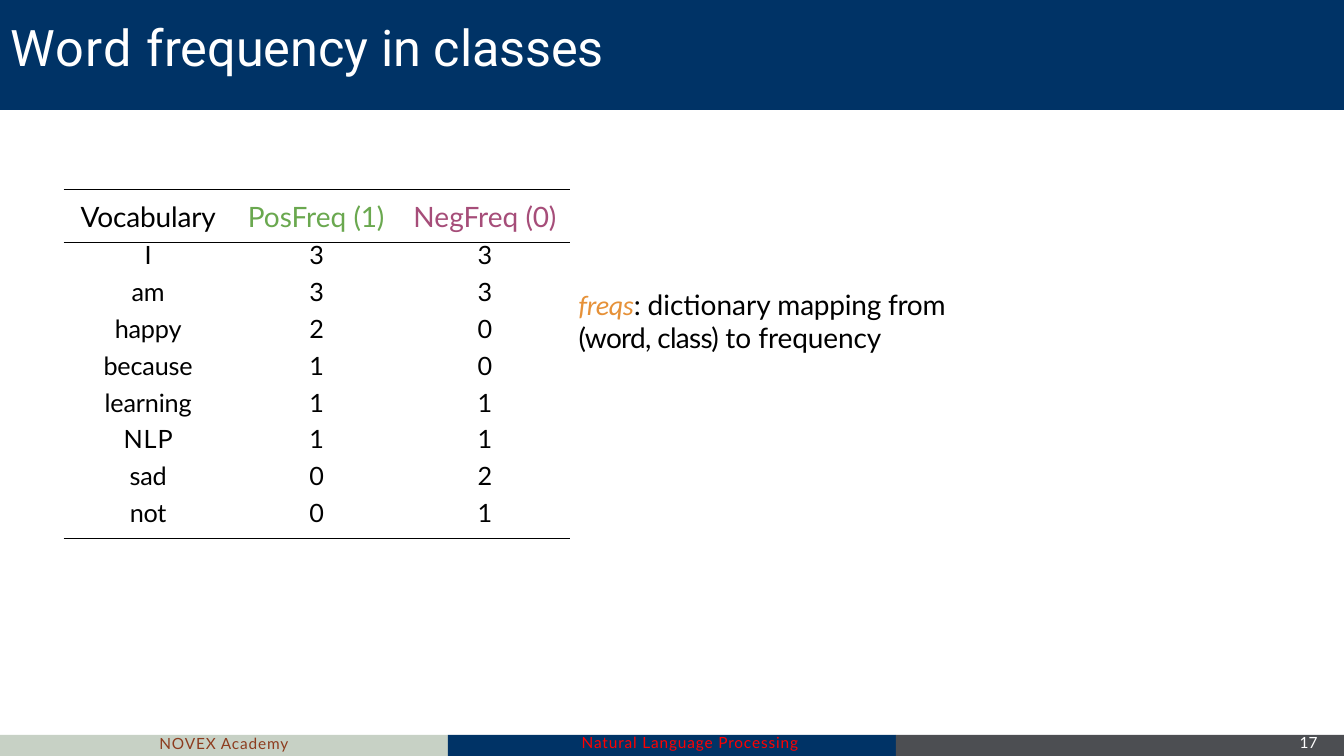
"""Build the slide on word frequency in positive and negative classes."""
from lxml import etree
from pptx import Presentation, util as u
from pptx.dml import color
from pptx.enum import shapes, text
from pptx.oxml import ns

WIDTH, HEIGHT = 13.33, 7.5
COLORS = {
    "navy": "003366", "sage": "C7D1C5", "gray": "4C4E52", "white": "FFFFFF",
    "black": "000000", "red": "FF0000", "brown": "8D3C1E",
    "green": "6AA84F", "plum": "A64D79", "orange": "E69138",
}

TITLE = [("Word ", 0.9), ("frequency in ", 0), ("classes", -0.1)]
HEADERS = [
    ([("Vocabulary", -0.1)], "black"),
    ([("PosFreq ", 0), ("(1)", -0.2)], "green"),
    ([("NegFreq ", 0), ("(0)", -0.2)], "plum"),
]
FREQUENCIES = [
    ("I", -0.5, 3, 3),
    ("am", -0.2, 3, 3),
    ("happy", -0.1, 2, 0),
    ("because", -0.1, 1, 0),
    ("learning", -0.1, 1, 1),
    ("NLP", 0.7, 1, 1),
    ("sad", -0.2, 0, 2),
    ("not", -0.2, 0, 1),
]
NOTE = [
    [("freqs", -0.3), (": ", -0.3), ("dictionary ", 0), ("mapping from", -0.2)],
    [("(word, class) ", -0.5), ("to ", 0), ("frequency", -0.1)],
]
FOOTER_BANDS = ["sage", "navy", "gray"]
FOOTER_TEXTS = [
    ("NOVEX Academy", "brown", 0.6, (1.57, 7.39, 2.39, 0.1)),
    ("Natural Language Processing", "red", 0.6, (5.76, 7.38, 2.39, 0.1)),
    ("17", "white", 0, (12.88, 7.38, 0.44, 0.1)),
]
TABLE_BOX = (0.63, 1.88, 5.02, 3.46)
COLUMN_WIDTHS = [1.67, 1.66, 1.69]
HEADER_HEIGHT, LAST_HEIGHT = 0.47, 0.43
HEADER_RULE = 2.41
PLAIN_TABLE = "{2D5ABB26-0587-4C30-8999-92F81FD0307C}"


def rgb(name):
    return color.RGBColor.from_string(COLORS[name])


def inches(values):
    return [u.Inches(value) for value in values]


def write(paragraph, runs, size, font, hue, before=0, indent=0.01):
    paragraph.font.size, paragraph.font.name = u.Pt(size), font
    paragraph.font.color.rgb = rgb(hue)
    paragraph.space_before = u.Pt(before)
    paragraph._p.get_or_add_pPr().set("marL", str(u.Inches(indent)))
    for words, spacing in runs:
        run = paragraph.add_run()
        run.text = words
        run._r.get_or_add_rPr().set("spc", str(round(spacing * 100)))


def add_band(slide, box, hue):
    band = slide.shapes.add_shape(shapes.MSO_SHAPE.RECTANGLE, *inches(box))
    band.shadow.inherit = False
    band.fill.solid()
    band.fill.fore_color.rgb = rgb(hue)
    band.line.fill.background()


def add_frame(slide, box, top=0):
    frame = slide.shapes.add_textbox(*inches(box)).text_frame
    frame.word_wrap = True
    frame.margin_left = frame.margin_right = frame.margin_bottom = 0
    frame.margin_top = u.Inches(top)
    return frame


def add_border(cell, side):
    line = etree.Element(ns.qn(f"a:{side}"), w=str(u.Pt(0.75)))
    fill = etree.SubElement(line, ns.qn("a:solidFill"))
    etree.SubElement(fill, ns.qn("a:srgbClr"), val=COLORS["black"])
    cell._tc.get_or_add_tcPr().insert(0, line)


def fill_cell(cell, runs, size, hue, top, before, indent):
    cell.margin_left = cell.margin_right = cell.margin_bottom = 0
    cell.margin_top = u.Inches(top)
    cell.fill.background()
    paragraph = cell.text_frame.paragraphs[0]
    paragraph.alignment = text.PP_ALIGN.CENTER
    write(paragraph, runs, size, "Lato", hue, before, indent)


def add_frequency_table(slide):
    count = len(FREQUENCIES)
    graphic = slide.shapes.add_table(count + 1, len(HEADERS), *inches(TABLE_BOX))
    table = graphic.table
    table.first_row = table.horz_banding = False
    table._tbl.tblPr.find(ns.qn("a:tableStyleId")).text = PLAIN_TABLE
    body_height = (TABLE_BOX[3] - HEADER_HEIGHT - LAST_HEIGHT) / (count - 1)
    heights = [HEADER_HEIGHT] + [body_height] * (count - 1) + [LAST_HEIGHT]
    for row, height in zip(table.rows, heights):
        row.height = u.Inches(height)
    for column, width in zip(table.columns, COLUMN_WIDTHS):
        column.width = u.Inches(width)
    for index, (runs, hue) in enumerate(HEADERS):
        fill_cell(table.cell(0, index), runs, 20, hue, 0.1, 7, 0.01)
        add_border(table.cell(0, index), "lnT")
        add_border(table.cell(count, index), "lnB")
    for row, (word, spacing, positive, negative) in enumerate(FREQUENCIES, 1):
        entries = [(word, spacing), (str(positive), -0.5), (str(negative), -0.5)]
        for index, entry in enumerate(entries):
            indent = 0.02 if index == 1 else 0.01
            fill_cell(table.cell(row, index), [entry], 18, "black", 0.03, 2.1, indent)


def add_header_rule(slide):
    left, width = TABLE_BOX[0], TABLE_BOX[2]
    ends = inches((left, HEADER_RULE, left + width, HEADER_RULE))
    rule = slide.shapes.add_connector(shapes.MSO_CONNECTOR.STRAIGHT, *ends)
    rule.line.color.rgb = rgb("black")
    rule.line.width = u.Pt(0.75)
    etree.SubElement(rule._element.spPr, ns.qn("a:effectLst"))


def add_note(slide):
    frame = add_frame(slide, (5.73, 2.84, 3.73, 0.7), 0.01)
    first = frame.paragraphs[0]
    write(first, NOTE[0], 20, "Lato", "black", 1.1)
    write(frame.add_paragraph(), NOTE[1], 20, "Lato", "black")
    term = first.runs[0].font
    term.name, term.italic = "Calibri", True
    term.color.rgb = rgb("orange")


def add_footer(slide):
    width = WIDTH / len(FOOTER_BANDS)
    for index, hue in enumerate(FOOTER_BANDS):
        add_band(slide, (index * width, 7.29, width, 0.21), hue)
    for words, hue, spacing, box in FOOTER_TEXTS:
        paragraph = add_frame(slide, box).paragraphs[0]
        write(paragraph, [(words, spacing)], 11, "Lato", hue)
        paragraph.line_spacing = u.Pt(5.8)


def main():
    presentation = Presentation()
    presentation.slide_width, presentation.slide_height = inches((WIDTH, HEIGHT))
    slide = presentation.slides.add_slide(presentation.slide_layouts[6])
    add_footer(slide)
    add_band(slide, (0, 0, WIDTH, 1.09), "navy")
    title = add_frame(slide, (0.09, 0.15, 11.41, 0.73), 0.01)
    write(title.paragraphs[0], TITLE, 36, "Roboto", "white", 0.9)
    add_frequency_table(slide)
    add_header_rule(slide)
    add_note(slide)
    presentation.save("out.pptx")


if __name__ == "__main__":
    main()
